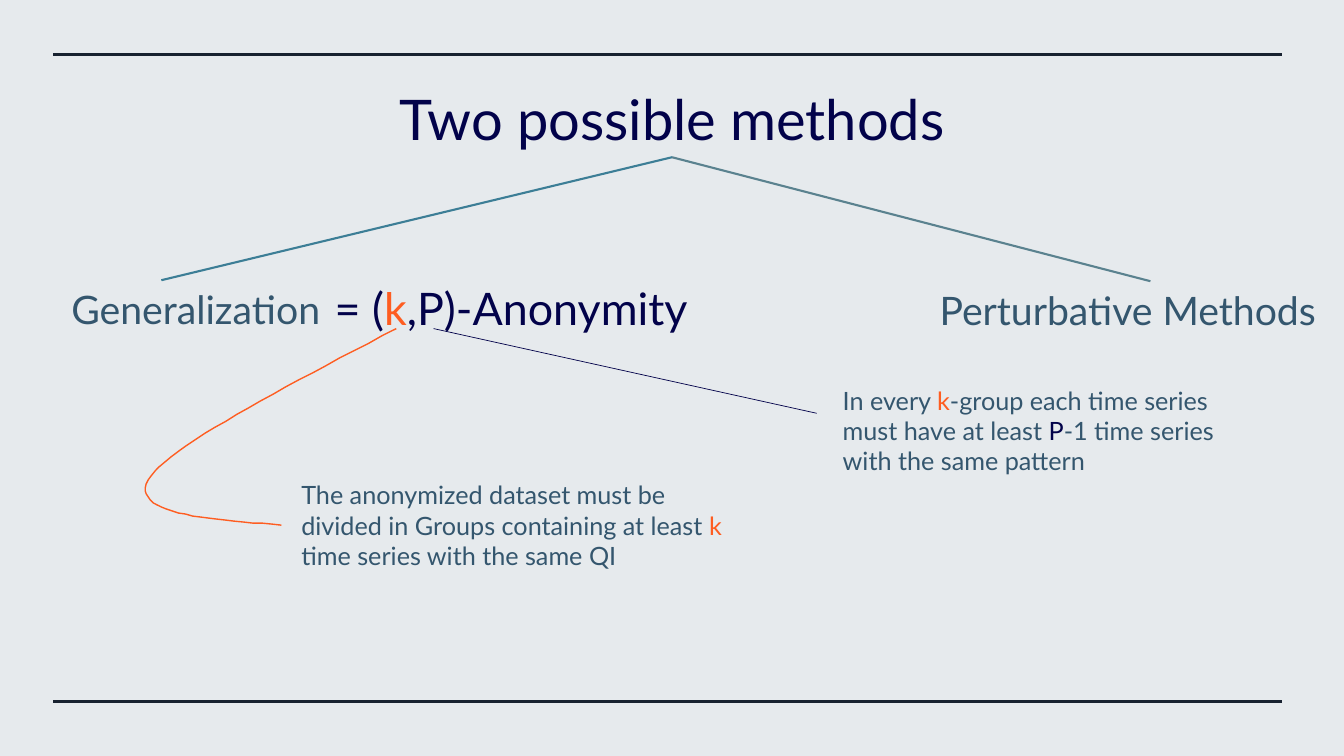
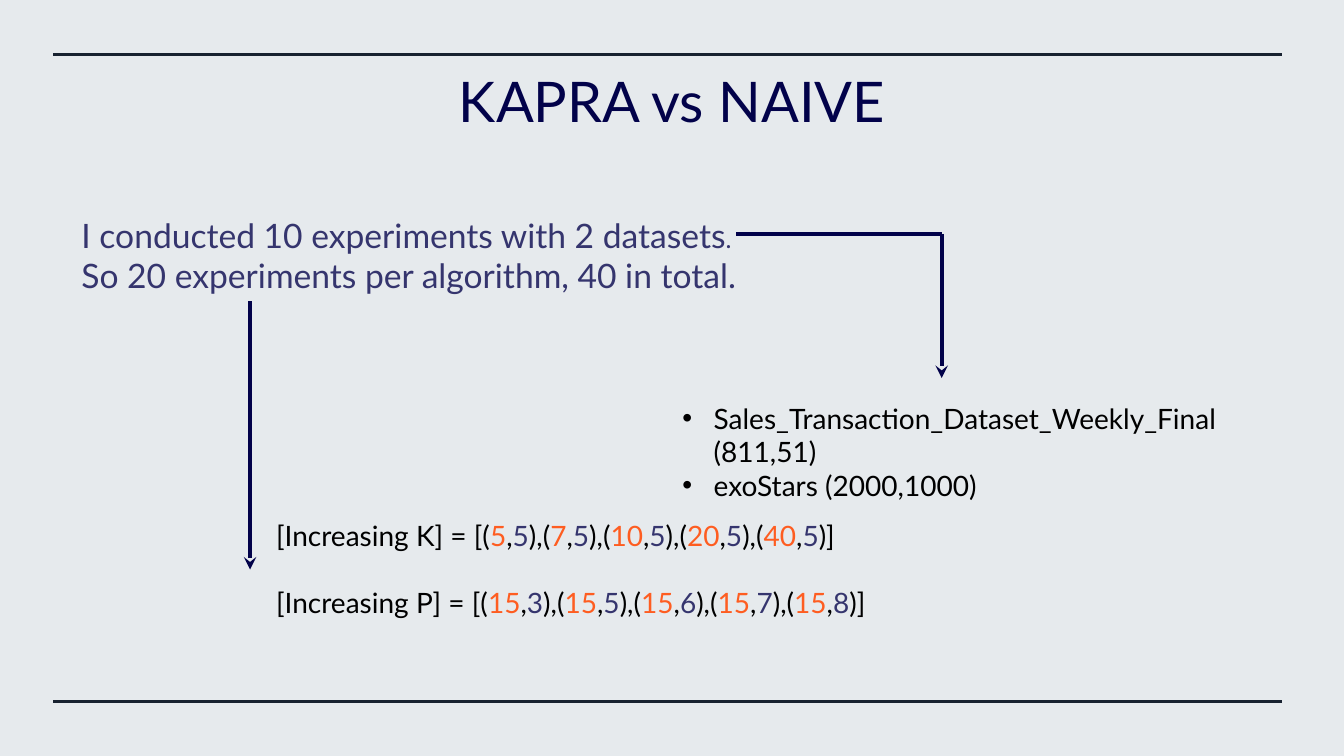
from lxml import etree
from pptx import Presentation
from pptx import util as u
from pptx.dml.color import RGBColor
from pptx.enum import shapes, text
from pptx.oxml import ns

PX = 9144  # EMU per px, 100 px to the inch
WIDTH, HEIGHT = 1333, 750
FONT = "Lato"
COLORS = {
    "page": "E6EAED", "band": "182230", "navy": "02024A", "slate": "34566E",
    "orange": "FE5D21", "indigo": "35356E", "black": "000000",
    "teal": "3C7E96", "gray": "5A828F",
}


def px(value):
    return u.Emu(round(value * PX))


def rgb(name):
    return RGBColor.from_string(COLORS[name])


def add_xml(parent, tag, **attributes):
    return etree.SubElement(parent, ns.qn(tag), attributes)


def style_span(span, size, color):
    span.font.name = FONT
    span.font.size = u.Pt(size)
    span.font.color.rgb = rgb(color)


def add_text(page, box, paras, size, gap=0, bullets=False):
    """Write paras, each a list of (words, color) or (words, color, size)."""
    label = page.shapes.add_textbox(*map(px, box))
    frame = label.text_frame
    frame.word_wrap = True
    for index, spans in enumerate(paras):
        para = frame.paragraphs[0] if index == 0 else frame.add_paragraph()
        if index:
            para.space_before = u.Pt(gap)
        for words, color, *own_size in spans:
            span = para.add_run()
            span.text = words
            style_span(span, own_size[0] if own_size else size, color)
        if bullets:
            props = para._p.get_or_add_pPr()
            props.set("marL", str(px(31)))
            props.set("indent", str(px(-31)))
            add_xml(props, "a:buFont", typeface="Arial")
            add_xml(props, "a:buChar", char="•")
    return label


def add_line(page, start, end, color, weight, arrow=False):
    line = page.shapes.add_connector(
        shapes.MSO_CONNECTOR.STRAIGHT, *map(px, (*start, *end)))
    line.line.color.rgb = rgb(color)
    line.line.width = u.Pt(weight)
    if arrow:
        add_xml(line.line._get_or_add_ln(), "a:tailEnd", type="stealth")
    add_xml(line._element.spPr, "a:effectLst")
    return line


def add_curve(page, start, segments, color, weight, steps=24):
    """Draw cubic segments, each given as two controls and an end point."""
    points = []
    origin = start
    for controls in segments:
        knots = (origin, *controls)
        for step in range(1, steps + 1):
            t = step / steps
            weights = ((1 - t) ** 3, 3 * t * (1 - t) ** 2, 3 * t * t * (1 - t), t ** 3)
            points.append(tuple(
                sum(w * knot[axis] for w, knot in zip(weights, knots)) for axis in (0, 1)))
        origin = controls[-1]
    builder = page.shapes.build_freeform(*start, scale=PX)
    builder.add_line_segments(points, close=False)
    curve = builder.convert_to_shape()
    curve.shadow.inherit = False
    curve.fill.background()
    curve.line.color.rgb = rgb(color)
    curve.line.width = u.Pt(weight)


def add_page(deck, title, box):
    page = deck.slides.add_slide(deck.slide_layouts.get_by_name("Title Only"))
    heading = page.shapes.title
    heading.left, heading.top, heading.width, heading.height = map(px, box)
    frame = heading.text_frame
    frame.text = title
    frame.auto_size = text.MSO_AUTO_SIZE.NONE
    frame.vertical_anchor = text.MSO_ANCHOR.TOP
    frame.paragraphs[0].alignment = text.PP_ALIGN.CENTER
    style_span(frame.paragraphs[0].runs[0], 40, "navy")
    return page


def add_bands(page):
    """Draw both bands and hand them to the layout all pages share."""
    for y in (54, HEIGHT - 54):
        band = add_line(page, (53, y), (1272, y), "band", 2.25)
        page.slide_layout.shapes.element.append(band._element)


# Regions of the methods slide
def method_branches(page, box):
    left, top, width, height = box
    generalization = (left, top + 122, 324, 57)
    perturbative = (left + width - 438, top + 123, 438, 57)
    fork = (left + 606, top)
    to_left = add_line(page, fork, (left + 99, top + 122), "teal", 1.5)
    to_right = add_line(page, fork, (left + 1080, top + 123), "gray", 1.5)
    add_text(page, generalization, [[("Generalization", "slate")]], 28)
    right = add_text(page, perturbative, [[("Perturbative Methods", "slate")]], 28)
    for branch in (to_left, to_right):
        branch.begin_connect(page.shapes.title, 2)
    to_right.end_connect(right, 0)


def anonymity_notes(page, box):
    left, top, width, height = box
    add_text(page, (left + 178, top, 689, 64),
             [[("= (", "navy"), ("k", "orange"), (",P)-Anonymity", "navy")]], 32)
    curve = [[(136, 111), (22, 170), (3, 202)], [(-16, 235), (59, 241), (135, 247)]]
    add_curve(page, (left + 249, top + 52),
              [[(left + x, top + y) for x, y in segment] for segment in curve],
              "orange", 1)
    add_text(page, (left + 145, top + 197, 448, 101), [[
        ("The anonymized dataset must be divided in Groups containing at least ", "slate"),
        ("k", "orange"), (" time series with the same QI", "slate")]], 18)
    add_line(page, (left + 286, top + 52), (left + 666, top + 136), "navy", 0.5)
    add_text(page, (left + 682, top + 103, 419, 101), [[
        ("In every ", "slate"), ("k", "orange"),
        ("-group each time series must have at least ", "slate"), ("P", "navy"),
        ("-1 time series with the same pattern", "slate")]], 18)


# Regions of the experiments slide
def experiment_summary(page, box):
    left, top, width, height = box
    add_text(page, box, [
        [("I conducted 10 experiments with 2 datasets", "indigo"), (".", "indigo", 18)],
        [("So 20 experiments per algorithm, 40 in total.", "indigo")]], 24)
    corner = (left + 863, top + 24)
    add_line(page, (left + 177, top + height), (left + 177, top + 357), "navy", 3, arrow=True)
    add_line(page, (left + 659, top + 24), corner, "navy", 3)
    add_line(page, corner, (left + 863, top + 167), "navy", 3, arrow=True)


def dataset_list(page, box):
    names = ("Sales_Transaction_Dataset_Weekly_Final (811,51)", "exoStars (2000,1000)")
    add_text(page, box, [[(name, "black")] for name in names], 20, bullets=True)


def pair_spans(name, pairs):
    spans = [(f"[Increasing {name}] = [(", "black")]
    for index, (k, p) in enumerate(pairs):
        if index:
            spans.append(("),(", "black"))
        spans += [(str(k), "orange"), (",", "black"), (str(p), "indigo")]
    return spans + [(")]", "black")]


def parameter_pairs(page, box):
    add_text(page, box, [
        pair_spans("K", [(k, 5) for k in (5, 7, 10, 20, 40)]),
        pair_spans("P", [(15, p) for p in (3, 5, 6, 7, 8)])], 20, gap=24)


def methods_slide(deck):
    page = add_page(deck, "Two possible methods", (366, 79, 601, 77))
    add_bands(page)
    method_branches(page, (61, 156, 1299, 180))
    anonymity_notes(page, (144, 274, 1101, 298))


def experiments_slide(deck):
    page = add_page(deck, "KAPRA vs NAIVE", (333, 61, 667, 77))
    experiment_summary(page, (71, 208, 746, 91))
    parameter_pairs(page, (264, 509, 688, 111))
    dataset_list(page, (667, 393, 622, 111))


def main():
    deck = Presentation()
    deck.slide_width, deck.slide_height = px(WIDTH), px(HEIGHT)
    background = deck.slide_master.background.fill
    background.solid()
    background.fore_color.rgb = rgb("page")
    methods_slide(deck)
    experiments_slide(deck)
    deck.save("out.pptx")


if __name__ == "__main__":
    main()
